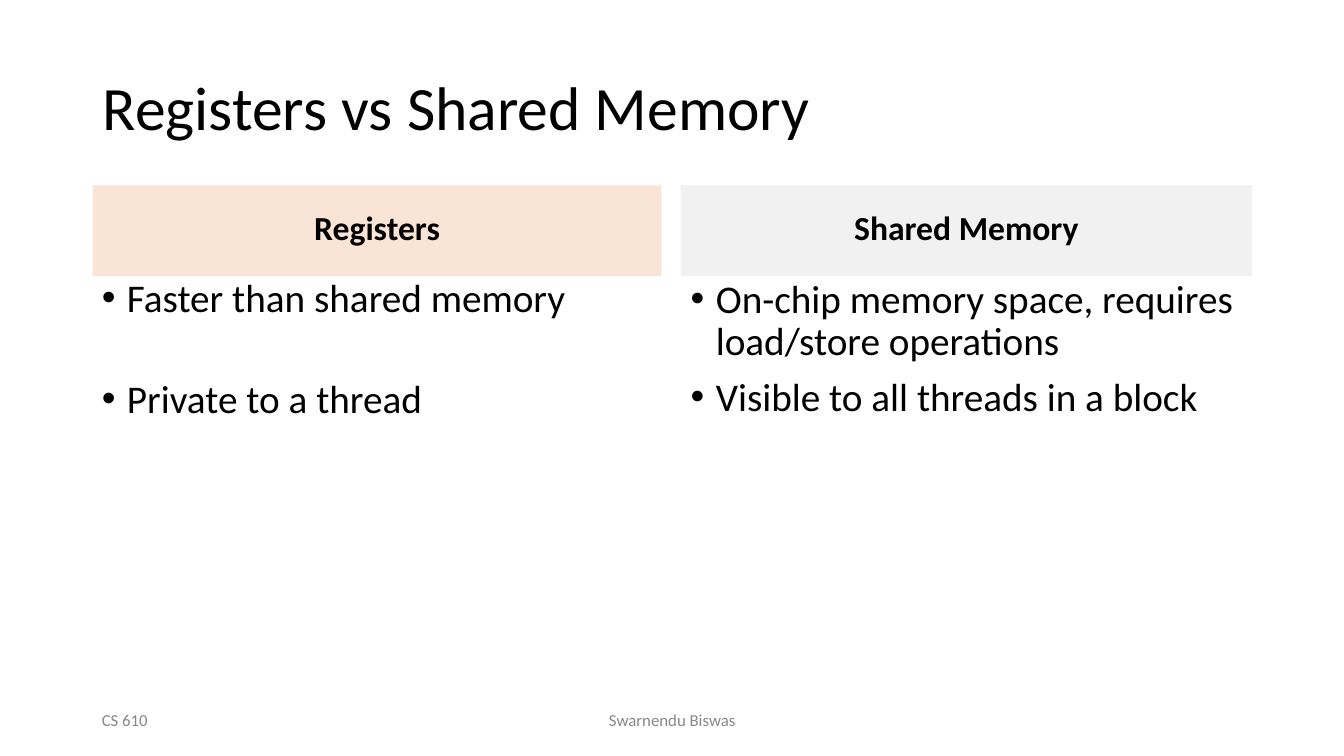
from lxml.etree import SubElement
from pptx import Presentation
from pptx.dml.color import RGBColor
from pptx.enum.shapes import MSO_SHAPE as Shape
from pptx.enum.text import MSO_ANCHOR as Anchor, PP_ALIGN as Align
from pptx.oxml.ns import qn
from pptx.util import Inches, Pt

COLORS = {
    "text": "000000",
    "footer": "888888",
    "registers": "FAE4D5",
    "shared": "F1F1F1",
}


def add_bullet(paragraph):
    properties = paragraph._p.get_or_add_pPr()
    properties.set("marL", str(Inches(0.26)))
    properties.set("indent", str(-Inches(0.25)))
    SubElement(properties, qn("a:buFont"), typeface="Arial")
    SubElement(properties, qn("a:buChar"), char="•")


def write(frame, lines, *, size, color="text", bold=False, align=Align.LEFT,
          top=0, bullet=False, spacings=(None,), gap=0):
    frame.word_wrap = True
    frame.vertical_anchor = Anchor.TOP
    frame.margin_left = frame.margin_right = frame.margin_bottom = 0
    frame.margin_top = Inches(top)
    for index, line in enumerate(lines):
        paragraph = frame.paragraphs[0] if index == 0 else frame.add_paragraph()
        paragraph.alignment = align
        if spacings[index % len(spacings)]:
            paragraph.line_spacing = Pt(spacings[index % len(spacings)])
        if index:
            paragraph.space_before = Pt(gap)
        if bullet:
            add_bullet(paragraph)
        run = paragraph.add_run()
        run.text = line
        run.font.name = "Calibri"
        run.font.size = Pt(size)
        run.font.bold = bold
        run.font.color.rgb = RGBColor.from_string(COLORS[color])


def add_text(slide, box, lines, **style):
    area = slide.shapes.add_textbox(*map(Inches, box))
    write(area.text_frame, lines, **style)


def add_heading(slide, left, width, label, fill):
    band = slide.shapes.add_shape(
        Shape.RECTANGLE, Inches(left), Inches(1.84), Inches(width), Inches(0.9))
    band.shadow.inherit = False
    band.fill.solid()
    band.fill.fore_color.rgb = RGBColor.from_string(COLORS[fill])
    band.line.fill.background()
    write(band.text_frame, [label], size=24, bold=True, align=Align.CENTER, top=0.21)


def main():
    deck = Presentation()
    deck.slide_width, deck.slide_height = Inches(13.33), Inches(7.5)
    slide = deck.slides.add_slide(deck.slide_layouts[6])

    add_text(slide, (1.02, 0.15, 11.12, 1.61), ["Registers vs Shared Memory"],
             size=44, top=0.53)

    add_heading(slide, 0.92, 5.64, "Registers", "registers")
    for row, trait in enumerate(["Faster than shared memory", "Private to a thread"]):
        add_text(slide, (1, 2.7 + row, 4.63, 0.49), [trait],
                 size=28, top=0.01, bullet=True)

    add_heading(slide, 6.75, 5.67, "Shared Memory", "shared")
    add_text(slide, (6.84, 2.7, 5.45, 1.47),
             ["On-chip memory space, requires load/store operations",
              "Visible to all threads in a block"],
             size=28, top=0.07, bullet=True, spacings=(30.2, None), gap=6.3)

    for left, width, label in [(1.01, 0.6, "CS 610"), (6.04, 1.4, "Swarnendu Biswas")]:
        add_text(slide, (left, 7.07, width, 0.19), [label],
                 size=12, color="footer", spacings=(12.4,))

    deck.save("out.pptx")


if __name__ == "__main__":
    main()
